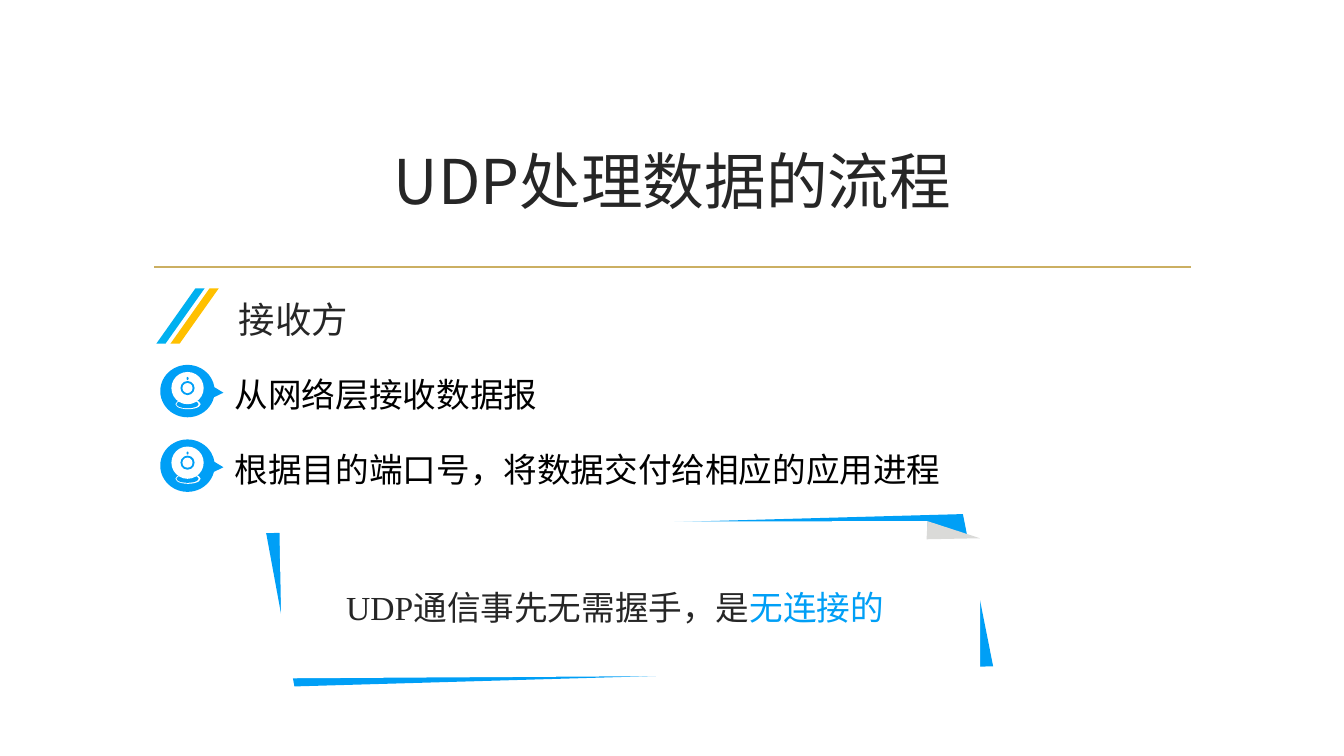
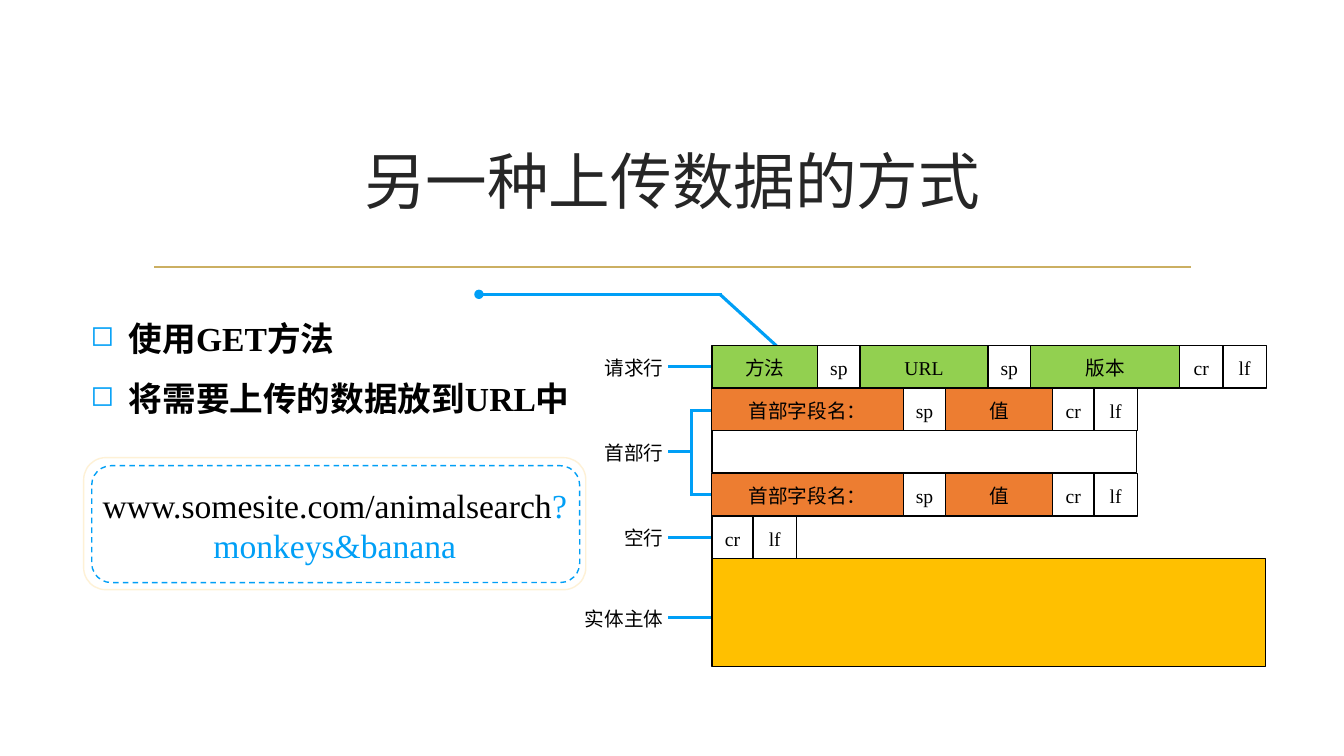
from lxml import etree
from pptx import Presentation
from pptx.dml.color import RGBColor
from pptx.enum.dml import MSO_LINE
from pptx.enum.shapes import MSO_CONNECTOR, MSO_SHAPE as SHAPE
from pptx.enum.text import MSO_ANCHOR as ANCHOR, PP_ALIGN as ALIGN
from pptx.oxml.ns import qn
from pptx.util import Pt

PX = 9144  # 100 px to the inch
BLUE = RGBColor(0x00, 0x9F, 0xF6)
SKY = RGBColor(0x00, 0xB0, 0xF0)
AMBER = RGBColor(0xFF, 0xC0, 0x00)
GOLD = RGBColor(0xCB, 0xAF, 0x62)
CREAM = RGBColor(0xFE, 0xF1, 0xD6)
GREEN = RGBColor(0x92, 0xD0, 0x50)
ORANGE = RGBColor(0xED, 0x7D, 0x31)
GREY = RGBColor(0xDA, 0xDA, 0xD8)
DARK = RGBColor(0x26, 0x26, 0x26)
BLACK = RGBColor(0x00, 0x00, 0x00)
WHITE = RGBColor(0xFF, 0xFF, 0xFF)
SANS = "Noto Sans CJK SC"
SERIF = "Times New Roman"


def text(s, box, *paragraphs, sp=None, size=24, font=SERIF, color=BLACK, bold=False,
         align=ALIGN.LEFT, anchor=ANCHOR.TOP, spacing=None, bullet=None):
    """Write paragraphs into sp, or into a new text box; a paragraph is a string or (text, color) runs."""
    inset = 0 if sp else 10
    sp = sp or s.shapes.add_textbox(*(v * PX for v in box))
    tf = sp.text_frame
    tf.word_wrap = True
    tf.vertical_anchor = anchor
    tf.margin_left = tf.margin_right = inset * PX
    tf.margin_top = tf.margin_bottom = inset // 2 * PX
    for i, runs in enumerate(paragraphs):
        p = tf.add_paragraph() if i else tf.paragraphs[0]
        p.alignment = align
        if spacing:
            p.line_spacing = spacing
        if bullet:
            pPr = p._p.get_or_add_pPr()
            pPr.set("marL", str(38 * PX))
            pPr.set("indent", str(-38 * PX))
            clr = etree.SubElement(pPr, qn("a:buClr"))
            etree.SubElement(clr, qn("a:srgbClr"), val=str(BLUE))
            etree.SubElement(pPr, qn("a:buSzPct"), val="85000")
            etree.SubElement(pPr, qn("a:buChar"), char=bullet)
        for words, run_color in [(runs, color)] if isinstance(runs, str) else runs:
            r = p.add_run()
            r.text = words
            r.font.name, r.font.size, r.font.bold = font, Pt(size), bold
            r.font.color.rgb = run_color
            etree.SubElement(r._r.get_or_add_rPr(), qn("a:ea"), typeface=SANS)


def shape(s, kind, box, fill=None, line=None):
    """Add a preset shape in box, or an outline when kind is a list of points."""
    if isinstance(kind, list):
        builder = s.shapes.build_freeform(*kind[0], scale=PX)
        builder.add_line_segments(kind[1:])
        sp = builder.convert_to_shape()
    else:
        sp = s.shapes.add_shape(kind, *(v * PX for v in box))
    sp.shadow.inherit = False
    if fill is None:
        sp.fill.background()
    else:
        sp.fill.solid()
        sp.fill.fore_color.rgb = fill
    if line is None:
        sp.line.fill.background()
    else:
        sp.line.color.rgb = line
        sp.line.width = Pt(1)
    return sp


prs = Presentation()
prs.slide_width, prs.slide_height = 1333 * PX, 750 * PX

# Titles, and every line of the deck
slides = []
lines = []
for title in ("UDP处理数据的流程", "另一种上传数据的方式"):
    s = prs.slides.add_slide(prs.slide_layouts[6])
    text(s, (142, 107, 1050, 143), title, size=44, font=SANS, color=DARK,
         align=ALIGN.CENTER, anchor=ANCHOR.MIDDLE)
    slides.append(s)
    lines.append((s, (153, 265, 1181, 265), GOLD, 1.25, None))
receiver, upload = slides

LABELS = [("请求行", 364, 706), ("首部行", 448, 686), ("空行", 533, 706), ("实体主体", 613, 706)]
leads = [(663, y, end, y) for _, y, end in LABELS]
bracket = [(686, 406, 686, 492), (686, 407, 706, 407), (686, 491, 706, 491)]
pointer = [(770, 343, 714, 292)]
lines += [(upload, ends, BLUE, 2.25, None) for ends in leads + bracket + pointer]
lines.append((upload, (716, 292, 475, 292), BLUE, 2.25, "oval"))

for s, ends, color, width, tail in lines:
    cx = s.shapes.add_connector(MSO_CONNECTOR.STRAIGHT, *(v * PX for v in ends))
    cx.line.color.rgb = color
    cx.line.width = Pt(width)
    if tail:
        etree.SubElement(cx.line._get_or_add_ln(), qn("a:tailEnd"), type=tail)
    etree.SubElement(cx._element.spPr, qn("a:effectLst"))

# Slide 1: receiving side
for x, color in ((155, SKY), (169, AMBER)):
    slash = shape(receiver, SHAPE.PARALLELOGRAM, (x, 286, 48, 55), color)
    slash.adjustments[0] = 0.81
text(receiver, (227, 290, 351, 54), "接收方", size=26, font=SANS, color=DARK)

WEBCAM = [  # offsets from the top left of the callout, back to front
    (15, 34, 25, 10, WHITE), (16, 35, 22, 8, BLUE), (11, 7, 32, 32, WHITE),
    (20, 16, 14, 14, BLUE), (22, 18, 10, 10, WHITE), (26, 12, 2, 3, BLUE),
]
for y, step in ((362, "从网络层接收数据报"), (436, "根据目的端口号，将数据交付给相应的应用进程")):
    callout = shape(receiver, SHAPE.OVAL_CALLOUT, (159, y, 54, 52), BLUE)
    callout.adjustments[0], callout.adjustments[1] = 0.66, 0.03
    for dx, dy, w, h, color in WEBCAM:
        shape(receiver, SHAPE.OVAL, (159 + dx, y + dy, w, h), color)
    text(receiver, (223, y, 775, 52), step, spacing=1.1)

back = [(264, 529), (292, 681), (985, 661), (955, 510)]
paper = [(277, 518), (280, 673), (972, 669), (972, 533), (920, 533), (920, 517)]
fold = [(920, 517), (972, 534), (919, 535)]
for points, color in ((back, BLUE), (paper, WHITE), (fold, GREY)):
    shape(receiver, points, None, color)
text(receiver, (319, 567, 582, 56), [("UDP通信事先无需握手，是", DARK), ("无连接的", BLUE)],
     align=ALIGN.CENTER, spacing=1.25)

# Slide 2: request message format
for label, y, _ in LABELS:
    text(upload, (558, y - 18, 110, 34), label, size=14, align=ALIGN.RIGHT, spacing=1.1)

LEFT, RIGHT = 706, 1255
SP, CR, LF = ("sp", 42, WHITE), ("cr", 41, WHITE), ("lf", 43, WHITE)
HEADER = [("首部字段名：", 190, ORANGE), SP, ("值", 106, ORANGE), CR, LF]
ROWS = [
    (343, [("方法", 105, GREEN), SP, ("URL", 127, GREEN), SP, ("版本", 148, GREEN),
           ("cr", 43, WHITE), LF]),
    (385, HEADER),
    (427, [("", 421, WHITE)]),
    (470, HEADER),
    (512, [CR, LF]),
]
for y, cells in ROWS:
    x = LEFT
    for label, width, color in cells:
        cell = shape(upload, SHAPE.RECTANGLE, (x, y, width, 42), color, BLACK)
        if label:
            text(upload, None, label, sp=cell, size=14, align=ALIGN.CENTER,
                 anchor=ANCHOR.MIDDLE, spacing=1.1)
        x += width
shape(upload, SHAPE.RECTANGLE, (LEFT, 554, RIGHT - LEFT, 107), AMBER, BLACK)

text(upload, (80, 290, 528, 125), "使用GET方法", "将需要上传的数据放到URL中",
     bold=True, spacing=1.5, bullet="◻")
shape(upload, SHAPE.ROUNDED_RECTANGLE, (83, 454, 498, 131), WHITE, CREAM)
frame = shape(upload, SHAPE.ROUNDED_RECTANGLE, (91, 462, 484, 116), None, BLUE)
frame.line.dash_style = MSO_LINE.DASH
text(upload, (83, 476, 498, 91),
     [("www.somesite.com/animalsearch", BLACK), ("?monkeys&banana", BLUE)], align=ALIGN.CENTER)

prs.save("out.pptx")
